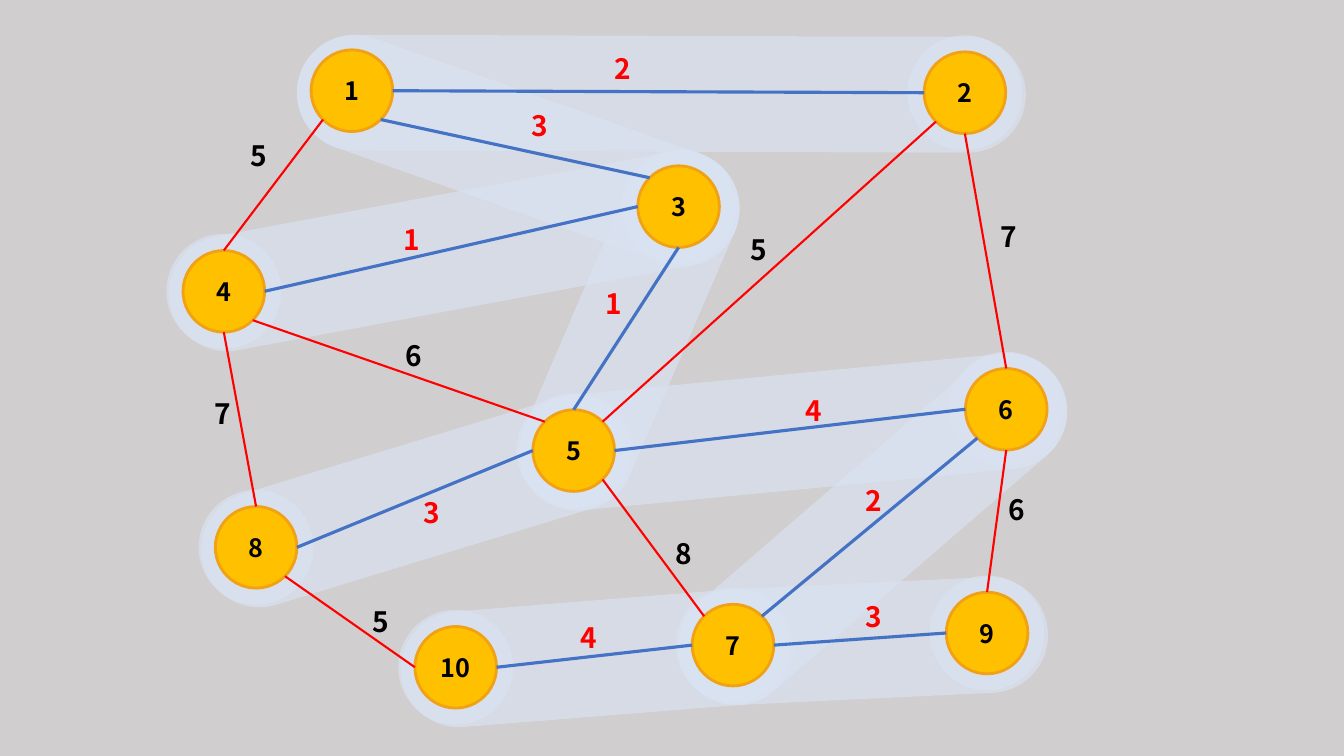
"""Build a slide of a weighted graph with its minimum spanning tree highlighted."""
from math import atan2, degrees, hypot, sqrt

from lxml.etree import SubElement
from pptx import Presentation
from pptx.dml.color import RGBColor
from pptx.enum.shapes import MSO_CONNECTOR as Link, MSO_SHAPE as Shape
from pptx.enum.text import MSO_ANCHOR as Anchor, PP_ALIGN as Align
from pptx.oxml.ns import qn
from pptx.util import Inches, Pt

COLORS = {
    "back": "D0CECE", "halo": "DAE3F3", "node": "FFC000", "rim": "F1A116",
    "tree": "4472C4", "rest": "FF0000", "ink": "000000", "pick": "FF0000",
}
FONT = "Noto Sans CJK KR"
NODE, HALO, TUBE = 0.81, 1.14, 1.15
DRIFT = (0.03, 0.02)
ALPHA = 63000

NODES = {
    1: (3.49, 0.9), 2: (9.57, 0.92), 3: (6.73, 2.05), 4: (2.22, 2.89),
    5: (5.69, 4.47), 6: (9.98, 4.06), 7: (7.27, 6.4), 8: (2.54, 5.43),
    9: (9.79, 6.28), 10: (4.52, 6.62),
}
# Each edge: start, side, end, side, weight, label left, label top
TREE = [
    (1, "E", 2, "W", 2, 6, 0.46),
    (1, "SE", 3, "NW", 3, 5.17, 1.03),
    (3, "S", 5, "N", 1, 5.91, 2.79),
    (3, "W", 4, "E", 1, 3.9, 2.16),
    (5, "W", 8, "E", 3, 4.1, 4.87),
    (5, "E", 6, "W", 4, 7.89, 3.85),
    (6, "SW", 7, "NE", 2, 8.49, 4.75),
    (7, "E", 9, "W", 3, 8.49, 5.9),
    (7, "W", 10, "E", 4, 5.66, 6.11),
]
REST = [
    (1, "SW", 4, "N", 5, 2.39, 1.32),
    (2, "S", 6, "N", 7, 9.82, 2.13),
    (2, "SW", 5, "NE", 5, 7.35, 2.26),
    (4, "S", 8, "N", 7, 2.03, 3.88),
    (4, "SE", 5, "NW", 6, 3.92, 3.31),
    (5, "SE", 7, "NW", 8, 6.6, 5.27),
    (6, "S", 9, "N", 6, 9.9, 4.84),
    (8, "SE", 10, "W", 5, 3.6, 5.95),
]


def tint(name):
    return RGBColor.from_string(COLORS[name])


def solid(kind, mid, wide, high, fill):
    x, y = mid
    shape = slide.shapes.add_shape(
        kind, Inches(x - wide / 2), Inches(y - high / 2), Inches(wide), Inches(high))
    shape.shadow.inherit = False
    shape.fill.solid()
    shape.fill.fore_color.rgb = tint(fill)
    shape.line.fill.background()
    return shape


def fade(shape):
    color = shape.fill._xPr.find(qn("a:solidFill"))[0]
    SubElement(color, qn("a:alpha")).set("val", str(ALPHA))


def write(frame, text, size, color):
    frame.text = str(text)
    font = frame.paragraphs[0].runs[0].font
    font.name, font.size, font.bold = FONT, Pt(size), True
    font.color.rgb = tint(color)


def tube(start, end):
    (ax, ay), (bx, by) = NODES[start], NODES[end]
    mid = ((ax + bx) / 2 + DRIFT[0], (ay + by) / 2 + DRIFT[1])
    span = hypot(bx - ax, by - ay) + TUBE
    shape = solid(Shape.ROUNDED_RECTANGLE, mid, span, TUBE, "halo")
    shape.adjustments[0] = 0.5
    shape.rotation = degrees(atan2(by - ay, bx - ax))
    fade(shape)
    fade(solid(Shape.OVAL, NODES[end], HALO, HALO, "halo"))


def site(node, side):
    x, y = NODES[node]
    reach = NODE / 2 / sqrt(len(side))
    dx = ("E" in side) - ("W" in side)
    dy = ("S" in side) - ("N" in side)
    return Inches(x + dx * reach), Inches(y + dy * reach)


def edge(start, out, end, into, weight, left, top, line, width, ink):
    link = slide.shapes.add_connector(Link.STRAIGHT, *site(start, out), *site(end, into))
    link.line.color.rgb = tint(line)
    link.line.width = Pt(width)
    SubElement(link._element.spPr, qn("a:effectLst"))
    box = slide.shapes.add_textbox(Inches(left), Inches(top), Inches(0.36), Inches(0.44))
    box.text_frame.word_wrap = False
    write(box.text_frame, weight, 20, ink)


deck = Presentation()
deck.slide_width, deck.slide_height = Inches(13.33), Inches(7.5)
slide = deck.slides.add_slide(deck.slide_layouts[6])
slide.background.fill.solid()
slide.background.fill.fore_color.rgb = tint("back")

for start, _, end, *_ in reversed(TREE):
    tube(start, end)

for name, mid in NODES.items():
    disc = solid(Shape.OVAL, mid, NODE, NODE, "node")
    disc.line.color.rgb = tint("rim")
    disc.line.width = Pt(2)
    write(disc.text_frame, name, 18, "ink")
    disc.text_frame.vertical_anchor = Anchor.MIDDLE
    disc.text_frame.paragraphs[0].alignment = Align.CENTER

for row in REST:
    edge(*row, "rest", 1.5, "ink")
for row in TREE:
    edge(*row, "tree", 2.25, "pick")

deck.save("out.pptx")
